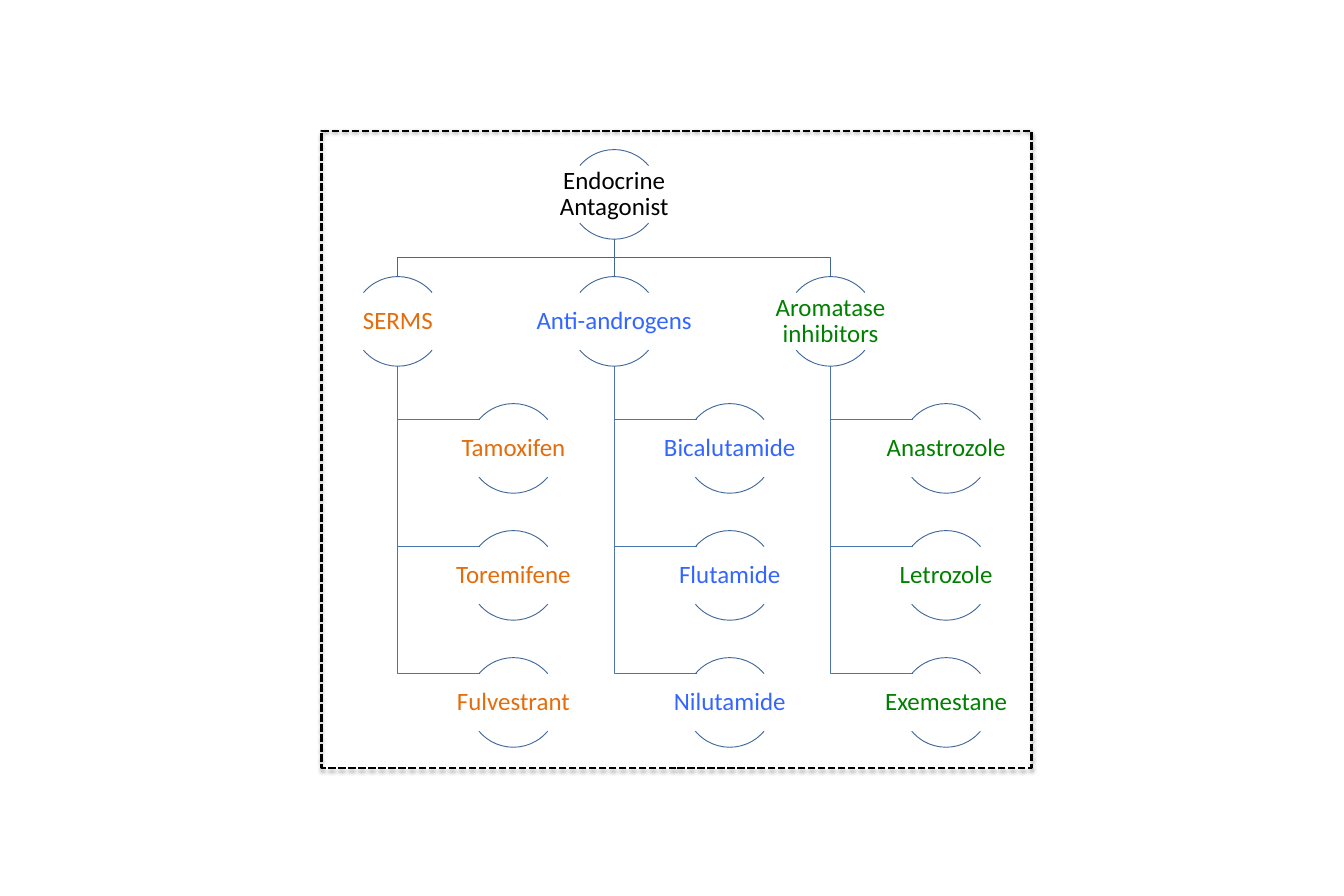
from lxml import etree
from pptx import Presentation
from pptx.dml.color import RGBColor
from pptx.enum import dml, shapes, text
from pptx.oxml import ns
from pptx.util import Inches, Pt

COLORS = {
    "root": "000000",
    "serms": "E46C0A",
    "antiandrogens": "3366FF",
    "aromatase": "008000",
    "arc": "3F6797",
    "branch": "4875AC",
    "frame": "000000",
}
CLASSES = [
    ("SERMS", "serms", ["Tamoxifen", "Toremifene", "Fulvestrant"]),
    ("Anti-androgens", "antiandrogens", ["Bicalutamide", "Flutamide", "Nilutamide"]),
    ("Aromatase inhibitors", "aromatase", ["Anastrozole", "Letrozole", "Exemestane"]),
]
COLUMN_STEP = 4.83 / 2
ROW_STEP = 5.67 / 4
CIRCLE = 1
LABEL_WIDTH, LABEL_HEIGHT = 2, 0.64
LABEL_DROP = (CIRCLE - LABEL_HEIGHT) / 2
DRUG_INDENT = 1.29
BRANCH_LENGTH = 0.92
ARC_ANGLES = [(132, 192), (24, 84)]


def set_line(outlined, color, width=0.75):
    outlined.line.color.rgb = RGBColor.from_string(COLORS[color])
    outlined.line.width = Pt(width)


def add_path(slide, points, color):
    start, *rest = [(Inches(x), Inches(y)) for x, y in points]
    builder = slide.shapes.build_freeform(*start)
    builder.add_line_segments(rest, close=False)
    path_line = builder.convert_to_shape()
    path_line.fill.background()
    path_line.shadow.inherit = False
    set_line(path_line, color)


def add_trunk(slide, x, top, bottom):
    trunk = slide.shapes.add_connector(
        shapes.MSO_CONNECTOR.STRAIGHT, Inches(x), Inches(top), Inches(x), Inches(bottom)
    )
    set_line(trunk, "arc")
    etree.SubElement(trunk._element.spPr, ns.qn("a:effectLst"))


def add_node(slide, center, top, label, color):
    for angles in ARC_ANGLES:
        arc = slide.shapes.add_shape(
            shapes.MSO_SHAPE.ARC, Inches(center - CIRCLE / 2), Inches(top), Inches(CIRCLE), Inches(CIRCLE)
        )
        arc.adjustments[0], arc.adjustments[1] = angles
        arc.fill.background()
        arc.shadow.inherit = False
        set_line(arc, "arc")
    caption = slide.shapes.add_textbox(
        Inches(center - LABEL_WIDTH / 2), Inches(top + LABEL_DROP), Inches(LABEL_WIDTH), Inches(LABEL_HEIGHT)
    )
    frame = caption.text_frame
    frame.word_wrap = True
    frame.vertical_anchor = text.MSO_ANCHOR.MIDDLE
    frame.margin_left = frame.margin_right = frame.margin_top = frame.margin_bottom = Inches(0.01)
    paragraph = frame.paragraphs[0]
    paragraph.text = label
    paragraph.alignment = text.PP_ALIGN.CENTER
    paragraph.line_spacing = 0.9
    paragraph.font.name = "Calibri"
    paragraph.font.size = Pt(20)
    paragraph.font.color.rgb = RGBColor.from_string(COLORS[color])


def add_class(slide, center, top, label, color, drugs):
    add_node(slide, center, top, label, color)
    for row, drug in enumerate(drugs, 1):
        drug_top = top + row * ROW_STEP
        joint = drug_top + LABEL_DROP
        add_path(
            slide,
            [(center, top + CIRCLE), (center, joint), (center + BRANCH_LENGTH, joint)],
            "branch",
        )
        add_node(slide, center + DRUG_INDENT, drug_top, drug, color)


def add_hierarchy(slide, left, top):
    root_center = left + 0.85 + COLUMN_STEP
    root_top = top + 0.21
    root_bottom = root_top + CIRCLE
    class_top = root_top + ROW_STEP
    middle = (root_bottom + class_top) / 2
    add_node(slide, root_center, root_top, "Endocrine Antagonist", "root")
    for column, (label, color, drugs) in enumerate(CLASSES, -1):
        center = root_center + column * COLUMN_STEP
        if column:
            add_path(
                slide,
                [(root_center, root_bottom), (root_center, middle), (center, middle), (center, class_top)],
                "arc",
            )
        else:
            add_trunk(slide, center, root_bottom, class_top)
        add_class(slide, center, class_top, label, color, drugs)


def add_frame(slide, left, top, width, height):
    border = slide.shapes.add_shape(
        shapes.MSO_SHAPE.RECTANGLE, Inches(left), Inches(top), Inches(width), Inches(height)
    )
    border.fill.background()
    set_line(border, "frame", 2)
    border.line.dash_style = dml.MSO_LINE.SQUARE_DOT
    border.shadow.inherit = False
    effects = border._element.spPr.find(ns.qn("a:effectLst"))
    shadow = etree.SubElement(
        effects, ns.qn("a:outerShdw"),
        blurRad=str(Pt(3.1)), dist=str(Pt(1.8)), dir="5400000", rotWithShape="0",
    )
    shade = etree.SubElement(shadow, ns.qn("a:srgbClr"), val=COLORS["frame"])
    etree.SubElement(shade, ns.qn("a:alpha"), val="35000")


def main():
    deck = Presentation()
    deck.slide_width, deck.slide_height = Inches(15), Inches(10)
    slide = deck.slides.add_slide(deck.slide_layouts[6])
    left, top = 3.59, 1.46
    add_hierarchy(slide, left, top)
    add_frame(slide, left, top, 7.92, 7.11)
    deck.save("out.pptx")


if __name__ == "__main__":
    main()
